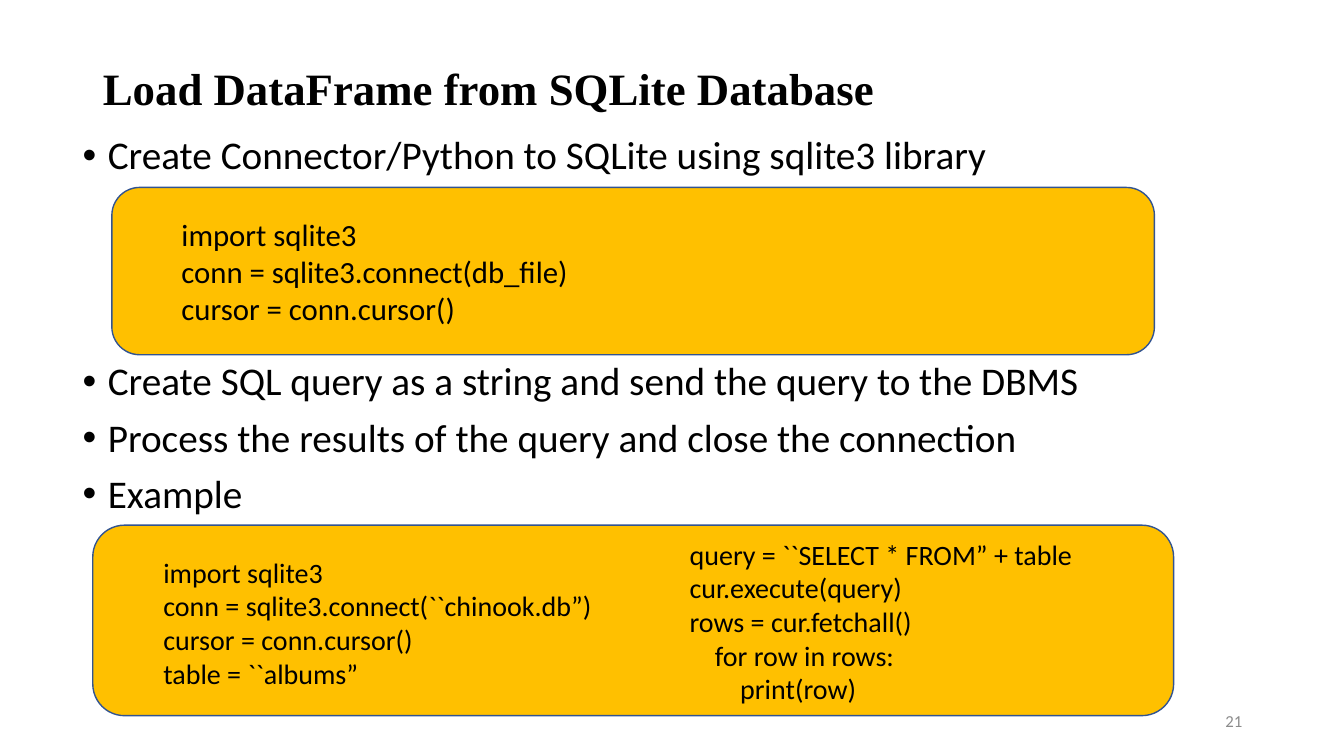
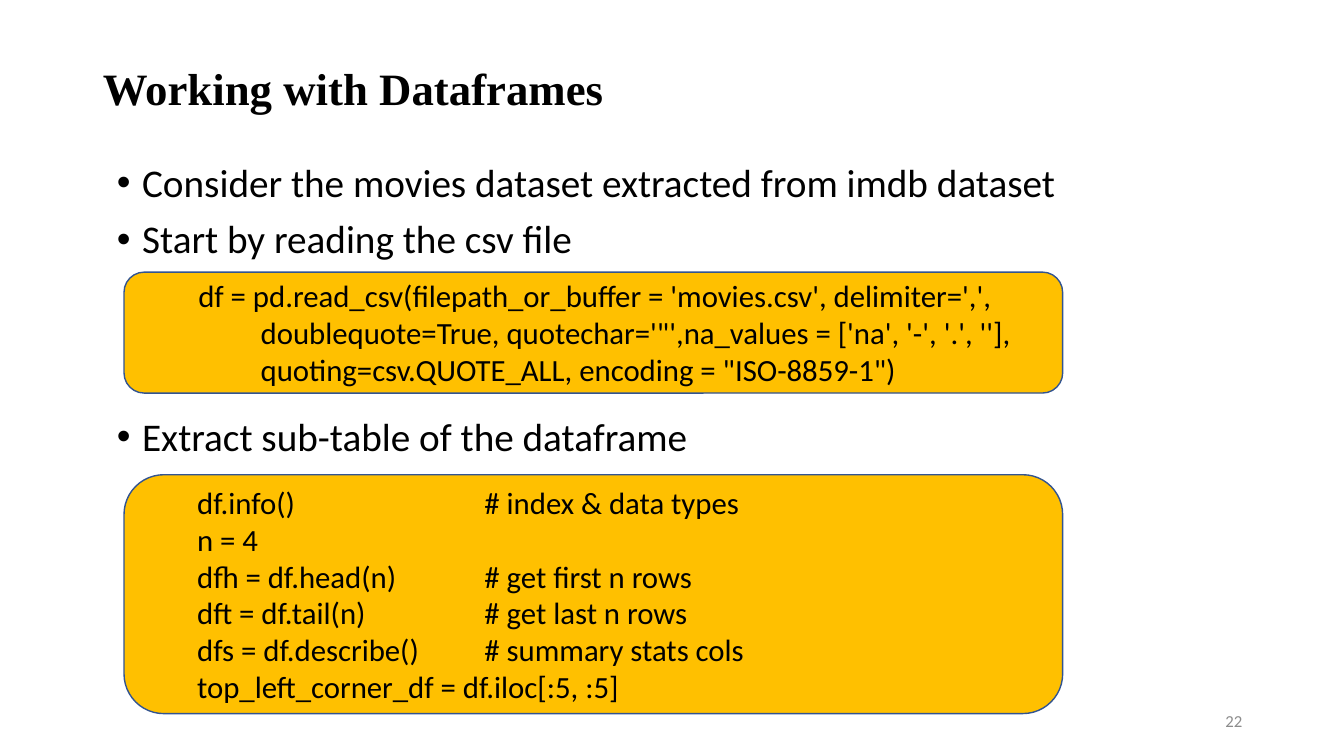
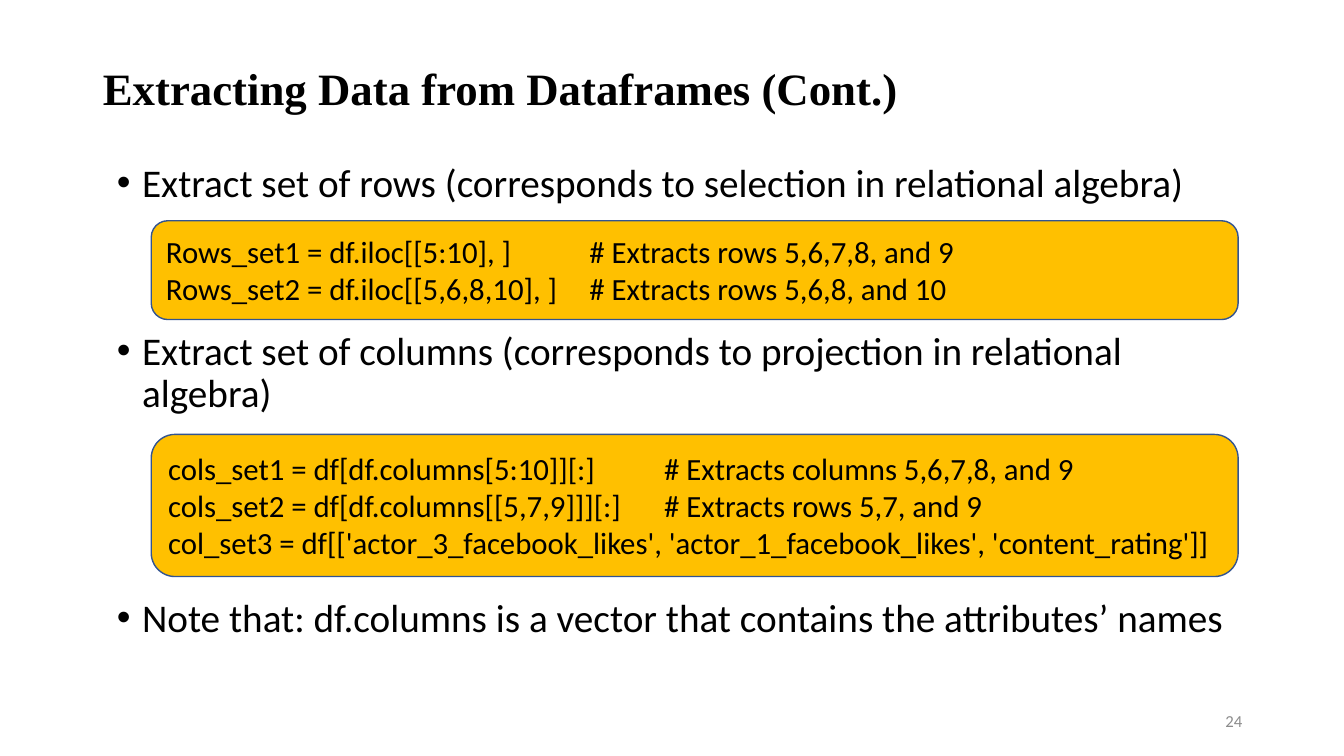
from pptx import Presentation
from pptx.dml.color import RGBColor
from pptx.enum import shapes, text
from pptx.oxml.ns import qn
from pptx.util import Inches, Pt
from lxml import etree

# Shared look
BLACK, GREY, AMBER, BLUE = "000000", "8C8C8C", "FFC000", "325491"
TITLE_FONT, BODY_FONT = "Times New Roman", "Calibri"
TITLE_AT = (0.92, 0.4, 11.5, 1)
NUMBER_AT = (9.42, 6.95, 3, 0.4)
CODE_INSET = 0.61


def rgb(value):
    return RGBColor.from_string(value)


def write(tf, lines, size, color=BLACK, name=BODY_FONT, tab=None):
    """Fill a text frame, one paragraph a line, with an optional tab stop."""
    tf.word_wrap = True
    tf.auto_size = text.MSO_AUTO_SIZE.NONE
    for i, line in enumerate(lines):
        p = tf.paragraphs[0] if i == 0 else tf.add_paragraph()
        p.text = line
        if tab:
            tabs = etree.SubElement(p._p.get_or_add_pPr(), qn("a:tabLst"))
            etree.SubElement(tabs, qn("a:tab"), pos=str(Inches(tab)), algn="l")
        p.alignment = text.PP_ALIGN.LEFT
        p.font.size = Pt(size)
        p.font.name = name
        p.font.color.rgb = rgb(color)


# Each bullet is (space before in points, text)
# Each panel is (position, left inset, tab stop, code lines)
# Each column is (position, code lines), laid over a panel
SLIDES = [
    {
        "title": "Load DataFrame from SQLite Database",
        "number": "21",
        "body_at": (0.72, 1.3, 11.5, 5.58),
        "bullets": [
            (0, "Create Connector/Python to SQLite using sqlite3 library"),
            (131, "Create SQL query as a string and send the query to the DBMS"),
            (10, "Process the results of the query and close the connection"),
            (10, "Example"),
        ],
        "panels": [
            ((1.11, 1.86, 10.34, 1.66), CODE_INSET, None, [
                "import sqlite3",
                "conn = sqlite3.connect(db_file)",
                "cursor = conn.cursor()",
            ]),
            ((0.92, 5.21, 10.72, 1.89), CODE_INSET, None, []),
        ],
        "columns": [
            ((1.01, 5.46, 5.41, 1.45), [
                "import sqlite3",
                "conn = sqlite3.connect(``chinook.db”)",
                "cursor = conn.cursor()",
                "table = ``albums”",
            ]),
            ((6.23, 5.28, 5.41, 1.78), [
                "query = ``SELECT * FROM” + table",
                "cur.execute(query)",
                "rows = cur.fetchall()",
                "    for row in rows:",
                "        print(row)",
            ]),
        ],
    },
    {
        "title": "Working with Dataframes",
        "number": "22",
        "body_at": (1.06, 1.57, 11.5, 5.48),
        "bullets": [
            (0, "Consider the movies dataset extracted from imdb dataset"),
            (10, "Start by reading the csv file"),
            (111, "Extract sub-table of the dataframe"),
        ],
        "panels": [
            ((1.23, 4.71, 9.31, 2.37), CODE_INSET, 2.85, [
                "df.info()\t# index & data types",
                "n = 4",
                "dfh = df.head(n)\t# get first n rows",
                "dft = df.tail(n)\t# get last n rows",
                "dfs = df.describe()\t# summary stats cols",
                "top_left_corner_df = df.iloc[:5, :5]",
            ]),
            ((1.23, 2.7, 9.31, 1.2), CODE_INSET, None, [
                " df = pd.read_csv(filepath_or_buffer = 'movies.csv', delimiter=',',",
                "          doublequote=True, quotechar='\"',na_values = ['na', '-', '.', ''],",
                "          quoting=csv.QUOTE_ALL, encoding = \"ISO-8859-1\")",
            ]),
        ],
        "columns": [],
    },
    {
        "title": "Extracting Data from Dataframes (Cont.)",
        "number": "24",
        "body_at": (1.06, 1.57, 11.5, 5.48),
        "bullets": [
            (0, "Extract set of rows (corresponds to selection in relational algebra)"),
            (90, "Extract set of columns (corresponds to projection in relational algebra)"),
            (130, "Note that: df.columns is a vector that contains the attributes’ names"),
        ],
        "panels": [
            ((1.5, 2.19, 10.78, 0.98), 0.1, 4.2, [
                "Rows_set1 = df.iloc[[5:10], ]\t# Extracts rows 5,6,7,8, and 9",
                "Rows_set2 = df.iloc[[5,6,8,10], ]\t# Extracts rows 5,6,8, and 10",
            ]),
            ((1.5, 4.31, 10.78, 1.41), 0.1, 4.92, [
                "cols_set1 = df[df.columns[5:10]][:]\t# Extracts columns 5,6,7,8, and 9",
                "cols_set2 = df[df.columns[[5,7,9]]][:]\t# Extracts rows 5,7, and 9",
                "col_set3 = df[['actor_3_facebook_likes', 'actor_1_facebook_likes', 'content_rating']]",
            ]),
        ],
        "columns": [],
    },
]

prs = Presentation()
prs.slide_width, prs.slide_height = Inches(13.33), Inches(7.5)

for content in SLIDES:
    s = prs.slides.add_slide(prs.slide_layouts[1])
    title, body = s.shapes.title, s.placeholders[1]
    for sp, at in ((title, TITLE_AT), (body, content["body_at"])):
        sp.left, sp.top, sp.width, sp.height = map(Inches, at)

    # Title
    write(title.text_frame, [content["title"]], 32, name=TITLE_FONT)
    title.text_frame.vertical_anchor = text.MSO_ANCHOR.MIDDLE
    p = title.text_frame.paragraphs[0]
    p.font.bold = True
    p.line_spacing = 0.9

    # Bullets, spaced to leave room for the code panels
    write(body.text_frame, [line for _, line in content["bullets"]], 28)
    for p, (gap, _) in zip(body.text_frame.paragraphs, content["bullets"]):
        p.line_spacing = 0.9
        p.space_before = Pt(gap)
        pPr = p._p.get_or_add_pPr()
        pPr.set("marL", str(Inches(0.25)))
        pPr.set("indent", str(-Inches(0.25)))

    # Code panels
    for at, inset, tab, lines in content["panels"]:
        sp = s.shapes.add_shape(shapes.MSO_SHAPE.ROUNDED_RECTANGLE, *map(Inches, at))
        sp.shadow.inherit = False
        sp.fill.solid()
        sp.fill.fore_color.rgb = rgb(AMBER)
        sp.line.color.rgb = rgb(BLUE)
        sp.line.width = Pt(1)
        tf = sp.text_frame
        tf.margin_left = Inches(inset)
        tf.vertical_anchor = text.MSO_ANCHOR.MIDDLE
        write(tf, lines, 22, tab=tab)

    # Code columns
    for at, lines in content["columns"]:
        tf = s.shapes.add_textbox(*map(Inches, at)).text_frame
        tf.margin_left = Inches(CODE_INSET)
        write(tf, lines, 20)

    # Slide number
    tf = s.shapes.add_textbox(*map(Inches, NUMBER_AT)).text_frame
    tf.vertical_anchor = text.MSO_ANCHOR.MIDDLE
    write(tf, [content["number"]], 12, color=GREY)
    tf.paragraphs[0].alignment = text.PP_ALIGN.RIGHT

prs.save("out.pptx")
